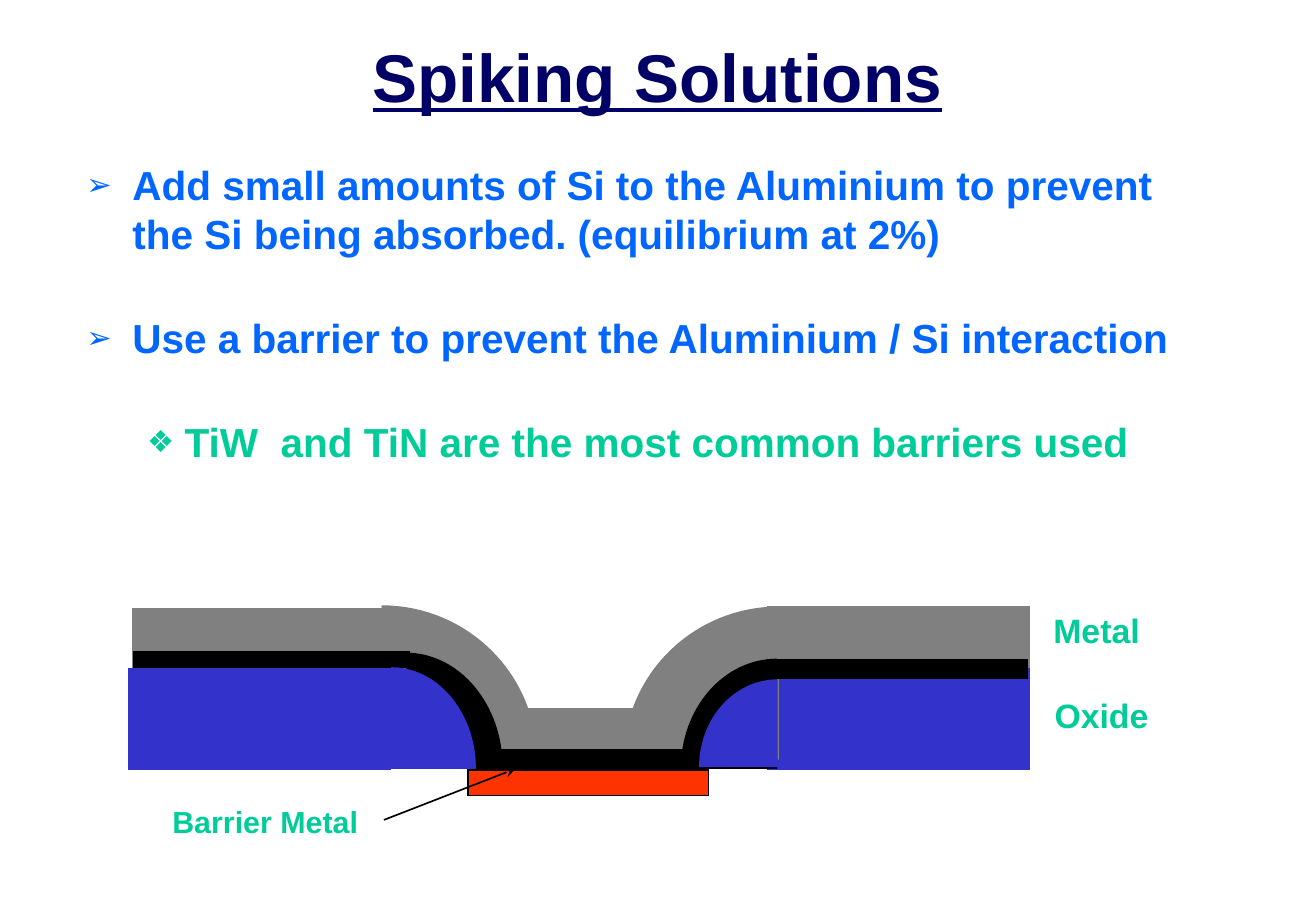
from lxml.etree import SubElement
from pptx import Presentation
from pptx.dml.color import RGBColor
from pptx.enum.shapes import MSO_CONNECTOR, MSO_SHAPE
from pptx.enum.text import MSO_ANCHOR, MSO_AUTO_SIZE, PP_ALIGN
from pptx.oxml.ns import qn
from pptx.util import Pt

EMU_PER_PX = 9144  # 100 px to the inch
CURVE_HANDLE = 0.5523  # handle length of a quarter ellipse, in radii

COLORS = {
    "title": "000066",
    "point": "0066FF",
    "accent": "00CC99",
    "oxide": "3333CC",
    "metal": "808080",
    "barrier": "000000",
    "contact": "FF3300",
    "background": "FFFFFF",
}


def px(*lengths):
    return [round(length * EMU_PER_PX) for length in lengths]


class SlideBuilder:
    font_name = "Arial"

    def __init__(self, presentation):
        self.slide = presentation.slides.add_slide(presentation.slide_layouts[1])
        fill = self.slide.background.fill
        fill.solid()
        fill.fore_color.rgb = self.color("background")

    def color(self, name):
        return RGBColor.from_string(COLORS[name])

    def format_runs(self, paragraph, size, color, underline=None):
        for run in paragraph.runs:
            run.font.name = self.font_name
            run.font.size = Pt(size)
            run.font.bold = True
            run.font.underline = underline
            run.font.color.rgb = self.color(color)

    def place(self, shape, box):
        shape.left, shape.top, shape.width, shape.height = px(*box)
        shape.text_frame.auto_size = MSO_AUTO_SIZE.NONE

    def title(self, text, box):
        shape = self.slide.shapes.title
        self.place(shape, box)
        shape.text_frame.text = text
        shape.text_frame.vertical_anchor = MSO_ANCHOR.MIDDLE
        paragraph = shape.text_frame.paragraphs[0]
        paragraph.alignment = PP_ALIGN.CENTER
        self.format_runs(paragraph, 40, "title", underline=True)

    def bullet(self, paragraph, symbol, color, margin, indent):
        properties = paragraph._p.get_or_add_pPr()
        properties.set("marL", str(px(margin)[0]))
        properties.set("indent", str(px(indent)[0]))
        bullet_color = SubElement(properties, qn("a:buClr"))
        SubElement(bullet_color, qn("a:srgbClr"), val=COLORS[color])
        SubElement(properties, qn("a:buSzPct"), val="75000")
        SubElement(properties, qn("a:buChar"), char=symbol)

    def body(self, items, box):
        shape = self.slide.placeholders[1]
        self.place(shape, box)
        frame = shape.text_frame
        frame.vertical_anchor = MSO_ANCHOR.TOP
        frame.text = "\n".join(text for text, level in items)
        styles = [("➢", "point", 38, -38), ("❖", "accent", 81, -31)]
        for index, (paragraph, (_, level)) in enumerate(zip(frame.paragraphs, items)):
            symbol, color, margin, indent = styles[level]
            paragraph.level = level
            paragraph.alignment = PP_ALIGN.LEFT
            paragraph.line_spacing = 0.9 if index else 1.0
            paragraph.space_before = Pt(6 if index else 0)
            paragraph.space_after = Pt(30)
            self.bullet(paragraph, symbol, color, margin, indent)
            self.format_runs(paragraph, 24, color)

    def label(self, text, box, size):
        frame = self.slide.shapes.add_textbox(*px(*box)).text_frame
        frame.word_wrap = False
        frame.auto_size = MSO_AUTO_SIZE.SHAPE_TO_FIT_TEXT
        frame.text = text
        self.format_runs(frame.paragraphs[0], size, "accent")

    def paint(self, shape, fill, line=None):
        shape.shadow.inherit = False
        shape.fill.solid()
        shape.fill.fore_color.rgb = self.color(fill)
        if line:
            shape.line.color.rgb = self.color(line)
            shape.line.width = Pt(1)
            SubElement(shape.line._get_or_add_ln(), qn("a:miter"), lim="800000")
        else:
            shape.line.fill.background()

    def layer(self, box, fill, line=None):
        shape = self.slide.shapes.add_shape(MSO_SHAPE.RECTANGLE, *px(*box))
        self.paint(shape, fill, line)

    def quarter(self, box, side, fill):
        """Fill the upper quarter of the ellipse in box; side is -1 left, 1 right."""
        left, top, width, height = px(*box)
        builder = self.slide.shapes.build_freeform(left, top)
        right, bottom = left + width, top + height
        builder.add_line_segments([(right, top), (right, bottom), (left, bottom)])
        shape = builder.convert_to_shape()
        self.paint(shape, fill, fill)

        radius_x, radius_y = width / 2, height / 2
        reach = side * radius_x
        center = (radius_x, radius_y)
        curve = [
            (radius_x + reach * CURVE_HANDLE, 0),
            (radius_x + reach, radius_y * (1 - CURVE_HANDLE)),
            (radius_x + reach, radius_y),
        ]
        sector = [("moveTo", [(radius_x, 0)]), ("cubicBezTo", curve)]
        closing = [("lnTo", [center]), ("close", [])]
        paths = shape._element.spPr.find(qn("a:custGeom")).find(qn("a:pathLst"))
        paths.remove(paths[0])
        self.add_path(paths, width, height, sector + closing, stroke="0")
        self.add_path(paths, width, height, sector, fill="none")

    def add_path(self, paths, width, height, commands, **options):
        path = SubElement(paths, qn("a:path"), w=str(width), h=str(height), **options)
        for name, points in commands:
            command = SubElement(path, qn(f"a:{name}"))
            for x, y in points:
                SubElement(command, qn("a:pt"), x=str(round(x)), y=str(round(y)))

    def arrow(self, start, end):
        connector = self.slide.shapes.add_connector(
            MSO_CONNECTOR.STRAIGHT, *px(*start, *end)
        )
        connector.line.color.rgb = self.color("barrier")
        connector.line.width = Pt(1)
        SubElement(connector.line._get_or_add_ln(), qn("a:tailEnd"), type="stealth")
        SubElement(connector._element.spPr, qn("a:effectLst"))


def main():
    presentation = Presentation()
    presentation.slide_width, presentation.slide_height = px(1083, 750)
    builder = SlideBuilder(presentation)
    left, right = -1, 1

    builder.title("Spiking Solutions", (81, 0, 920, 125))
    builder.body(
        [
            ("Add small amounts of Si to the Aluminium to prevent the Si being "
             "absorbed. (equilibrium at 2%)", 0),
            ("Use a barrier to prevent the Aluminium / Si interaction", 0),
            ("TiW  and TiN are the most common barriers used", 1),
        ],
        (61, 127, 945, 375),
    )

    builder.layer((632, 551, 215, 82), "oxide", "oxide")
    builder.quarter((514, 500, 254, 251), left, "metal")
    builder.layer((392, 583, 180, 45), "metal")
    builder.layer((632, 500, 215, 49), "metal", "metal")
    builder.label("Metal", (857, 497, 91, 43), 20)
    builder.label("Oxide", (858, 567, 98, 43), 20)
    builder.quarter((187, 499, 254, 251), right, "metal")
    builder.layer((109, 501, 206, 49), "metal", "metal")
    builder.layer((106, 551, 215, 82), "oxide", "oxide")

    # Barrier film over the rounded oxide edges
    builder.layer((389, 617, 188, 16), "barrier", "barrier")
    builder.label("Barrier Metal", (132, 656, 173, 40), 18)
    builder.quarter((255, 538, 158, 188), right, "barrier")
    builder.layer((638, 543, 207, 15), "barrier", "barrier")
    builder.layer((110, 537, 227, 12), "barrier", "barrier")
    builder.quarter((253, 550, 138, 166), right, "oxide")
    builder.quarter((561, 543, 157, 180), left, "barrier")
    builder.quarter((576, 560, 128, 143), left, "oxide")

    builder.layer((385, 634, 198, 21), "contact", "barrier")
    builder.arrow((316, 675), (424, 633))

    presentation.save("out.pptx")


if __name__ == "__main__":
    main()
